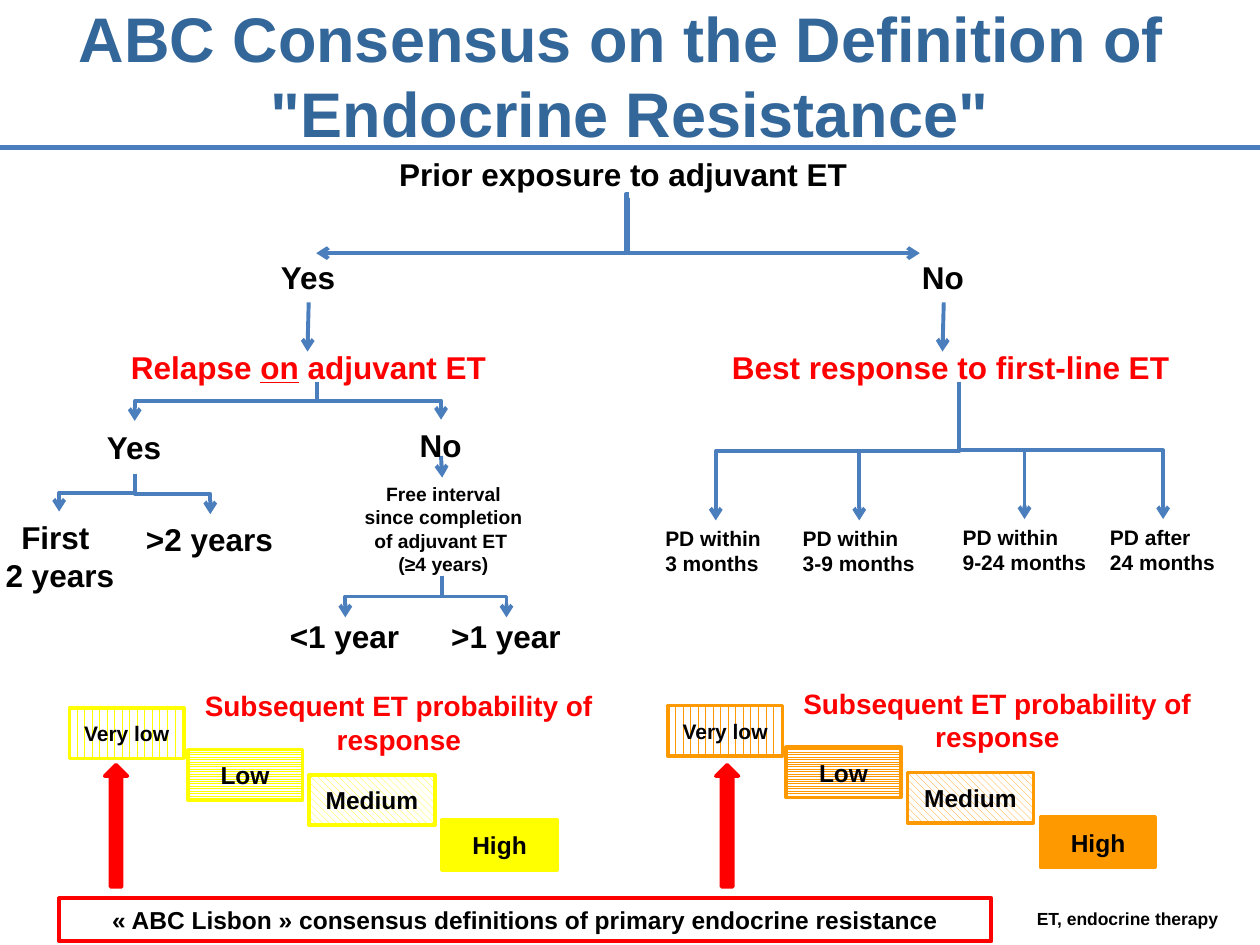
from dataclasses import dataclass

from lxml.etree import SubElement
from pptx import Presentation
from pptx.dml.color import RGBColor
from pptx.enum.dml import MSO_PATTERN
from pptx.enum.shapes import MSO_CONNECTOR, MSO_SHAPE
from pptx.enum.text import MSO_ANCHOR, MSO_AUTO_SIZE, PP_ALIGN
from pptx.oxml.ns import qn
from pptx.util import Pt


@dataclass(frozen=True)
class Theme:
    """Colours, font and type sizes of the slide."""
    font: str = "Arial"
    ink: str = "000000"
    title: str = "336699"
    line: str = "4B7EBC"
    red: str = "FF0000"
    white: str = "FFFFFF"
    yellow: str = "FFFF00"
    orange: str = "FF9900"
    huge: int = 36
    head: int = 18
    sub: int = 16
    mid: int = 14
    small: int = 12
    tiny: int = 11
    note: int = 10


THEME = Theme()
LEFT, MID = PP_ALIGN.LEFT, PP_ALIGN.CENTER
STEPS = [
    ("Very low", THEME.small, 0, 0, 65.5, MSO_PATTERN.DASHED_VERTICAL),
    ("Low", THEME.mid, 67.7, 23.8, 65.5, MSO_PATTERN.LIGHT_HORIZONTAL),
    ("Medium", THEME.mid, 137, 38.2, 72, MSO_PATTERN.WIDE_DOWNWARD_DIAGONAL),
    ("High", THEME.mid, 213.1, 63.8, 65.5, None),
]


def rgb(code):
    """Turn a hex code into a colour."""
    return RGBColor.from_string(code)


def write(frame, text, size, color, align):
    """Fill a frame with one paragraph per line, underlining _marked_ words."""
    for i, row in enumerate(text.split("\n")):
        para = frame.add_paragraph() if i else frame.paragraphs[0]
        para.alignment = align
        font = para.font
        font.name, font.size, font.bold = THEME.font, Pt(size), True
        font.color.rgb = rgb(color)
        if "_" not in row:
            para.text = row
            continue
        for j, part in enumerate(row.split("_")):
            run = para.add_run()
            run.text = part
            if j % 2:
                run.font.underline = True


def label(slide, text, box, size=THEME.head, color=THEME.ink, align=LEFT,
          inset=(7.2, 3.6, 7.2, 3.6), wrap=False):
    """Add a bold text box that fits its text."""
    frame = slide.shapes.add_textbox(*map(Pt, box)).text_frame
    frame.word_wrap = wrap
    frame.auto_size = MSO_AUTO_SIZE.SHAPE_TO_FIT_TEXT
    (frame.margin_left, frame.margin_top,
     frame.margin_right, frame.margin_bottom) = map(Pt, inset)
    write(frame, text, size, color, align)
    return frame


def shape(slide, kind, box, color, width=2, fill=True):
    """Add a preset shape with an outline and, if asked, a solid fill."""
    item = slide.shapes.add_shape(kind, *map(Pt, box))
    item.shadow.inherit = False
    item.line.color.rgb = rgb(color)
    item.line.width = Pt(width)
    if fill:
        item.fill.solid()
        item.fill.fore_color.rgb = rgb(color)
    else:
        item.fill.background()
    return item


def link(slide, start, end, kind=MSO_CONNECTOR.STRAIGHT, width=2.25, arrow=True):
    """Add a connector, with an arrowhead at its end if asked."""
    item = slide.shapes.add_connector(kind, *map(Pt, (*start, *end)))
    item.line.color.rgb = rgb(THEME.line)
    item.line.width = Pt(width)
    props = item.element.spPr
    if arrow:
        SubElement(props.find(qn("a:ln")), qn("a:tailEnd"), type="arrow")
    SubElement(props, qn("a:effectLst"))
    return item


def fork(slide, start, ends):
    """Branch down from one point to each end by elbows turned on their side."""
    for end in ends:
        wide, tall = end[0] - start[0], end[1] - start[1]
        x, y = (start[0] + end[0]) / 2, (start[1] + end[1]) / 2
        side = 1 if wide > 0 else -1
        dx, dy = side * tall / 2, abs(wide) / 2
        item = link(slide, (x + dx, y - dy), (x - dx, y + dy), MSO_CONNECTOR.ELBOW)
        turn = 270 if wide > 0 else 90
        item.element.spPr.find(qn("a:xfrm")).set("rot", str(turn * 60000))


def split(slide, start, end, bend):
    """Drop from the root, then run sideways, with the bend near the start."""
    item = link(slide, start, end, MSO_CONNECTOR.ELBOW)
    geom = item.element.spPr.find(qn("a:prstGeom"))
    SubElement(geom.find(qn("a:avLst")), qn("a:gd"), name="adj1", fmla=f"val {bend}")


def stair(slide, x, y, color):
    """Add the four steps of response odds and their heading."""
    for text, size, dx, dy, wide, weave in STEPS:
        item = shape(slide, MSO_SHAPE.RECTANGLE, (x + dx, y + dy, wide, 28.8), color)
        if weave:
            item.fill.patterned()
            item.fill.pattern = weave
            item.fill.fore_color.rgb = rgb(color)
            item.fill.back_color.rgb = rgb(THEME.white)
        write(item.text_frame, text, size, THEME.ink, MID)
    label(slide, "Subsequent ET probability of response", (x + 65.2, y - 14.7, 246.2, 46),
          THEME.sub, THEME.red, MID, wrap=True)


def tree(slide):
    """Add the links and labels of the decision tree."""
    split(slide, (359.3, 110.9), (180.7, 144.7), 800)
    split(slide, (359.3, 113), (525.6, 144.7), -400)
    for start, end in [((176.4, 172.8), (175.7, 200.9)),
                       ((539.3, 172.8), (538.6, 200.9)),
                       ((252, 260.6), (252.7, 272.9))]:
        link(slide, start, end)
    fork(slide, (181.4, 218.2), [(77, 240.5), (252, 239.8)])
    fork(slide, (77, 270.7), [(33.8, 292.3), (120.2, 293.8)])
    fork(slide, (252.7, 329), [(197.3, 352.8), (289.4, 352.8)])
    fork(slide, (547.9, 218.2),
         [(409, 297.4), (491, 297.4), (585.4, 296.6), (664.6, 296.6)])
    for text, x, y, wide, color in [
            ("Prior exposure to adjuvant ET", 221, 85, 273, THEME.ink),
            ("Yes", 153.4, 144, 46, THEME.ink),
            ("No", 519.8, 144, 38.9, THEME.ink),
            ("Relapse _on_ adjuvant ET", 67.7, 195.1, 227.5, THEME.red),
            ("Best response to first-line ET", 411.1, 195.1, 274.3, THEME.red),
            ("Yes", 54, 241.2, 46, THEME.ink),
            (">2 years", 76.3, 293.8, 87.8, THEME.ink)]:
        label(slide, text, (x, y, wide, 28.8), color=color)
    label(slide, "No", (236.9, 240.5, 30.2, 27.4), inset=[2.9] * 4)
    label(slide, "First \n2 years", (-4.3, 292.3, 77, 51), align=MID)
    label(slide, "Free interval since completion \nof adjuvant ET \n(≥4 years)",
          (204.5, 272.9, 95, 56.2), THEME.tiny, align=MID,
          inset=(2.9, 2.9, 0, 0), wrap=True)
    for text, x in [("<1 year", 165.6), (">1 year", 257.8)]:
        label(slide, text, (x, 352.8, 63.4, 21.6), inset=[0] * 4)
    for text, x, y, wide in [("PD within\n3 months", 377.3, 297.4, 64.8),
                             ("PD within\n3-9 months", 455.8, 297.4, 70.6),
                             ("PD within\n9-24 months", 547.2, 296.6, 77),
                             ("PD after\n24 months", 631.4, 296.6, 66.2)]:
        label(slide, text, (x, y, wide, 34.6), THEME.small, inset=[2.9] * 4)


def main():
    """Build the slide and save it."""
    deck = Presentation()
    deck.slide_width, deck.slide_height = Pt(720), Pt(540)
    slide = deck.slides.add_slide(deck.slide_layouts[6])
    link(slide, (0, 84.2), (720, 84.2), width=3, arrow=False)
    tree(slide)
    stair(slide, 39.6, 404.6, THEME.yellow)
    stair(slide, 381.6, 403.2, THEME.orange)
    bar = shape(slide, MSO_SHAPE.RECTANGLE, (33.8, 513.4, 532.8, 24.5),
                THEME.red, 2.25, False)
    write(bar.text_frame,
          "« ABC Lisbon » consensus definitions of primary endocrine resistance",
          THEME.mid, THEME.ink, MID)
    for x in (59.8, 409):
        shape(slide, MSO_SHAPE.UP_ARROW, (x, 437, 13, 69.8), THEME.red)
    label(slide, "ET, endocrine therapy", (585.4, 515.5, 133.9, 19.4),
          THEME.note, wrap=True)
    title = label(slide, "ABC Consensus on the Definition of \v\"Endocrine Resistance\"",
                  (0, -2.2, 720, 90), THEME.huge, THEME.title, MID, wrap=True)
    title.auto_size = MSO_AUTO_SIZE.NONE
    title.vertical_anchor = MSO_ANCHOR.MIDDLE
    deck.save("out.pptx")


if __name__ == "__main__":
    main()
